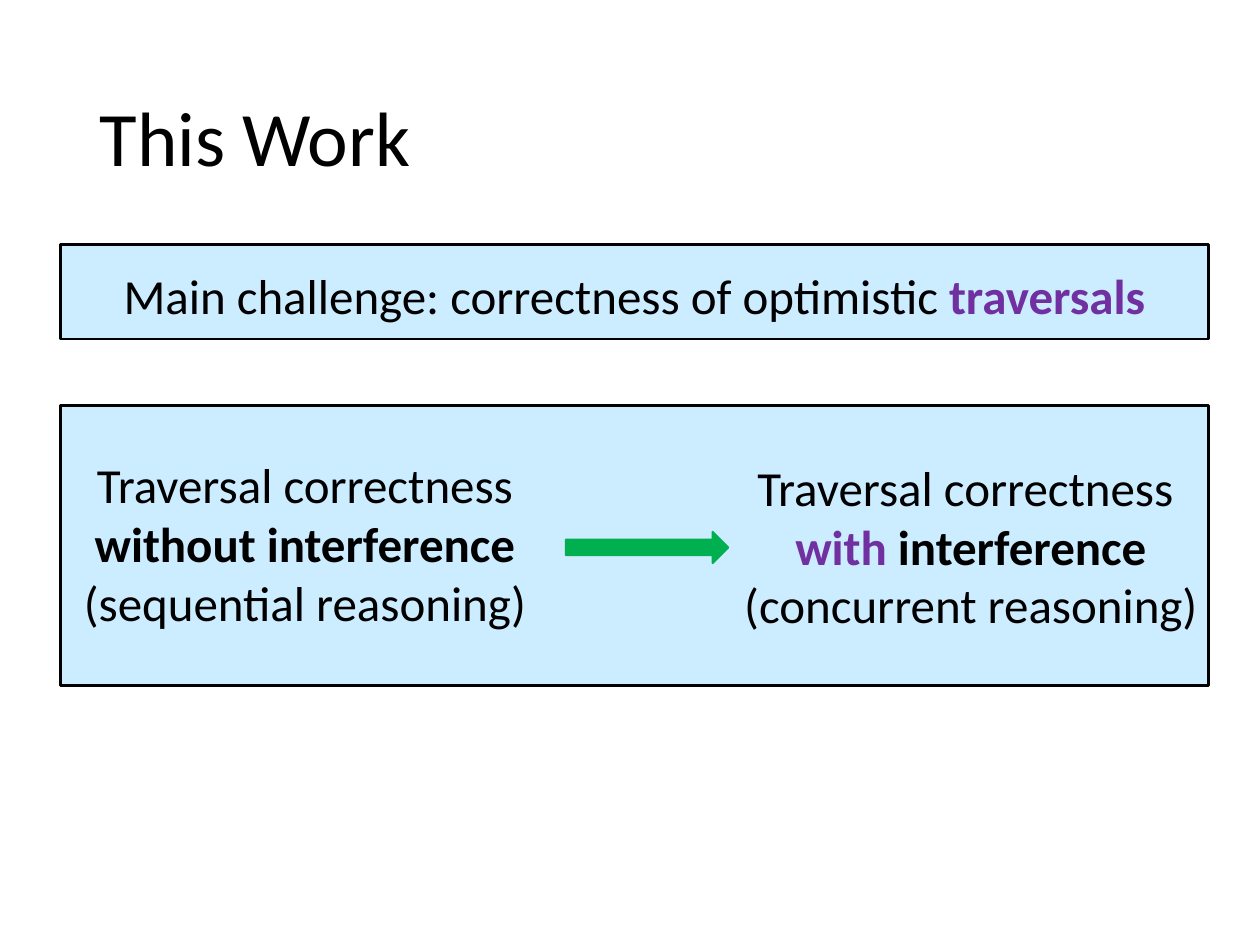
from pptx import Presentation
from pptx.dml.color import RGBColor
from pptx.enum.shapes import MSO_SHAPE
from pptx.enum.text import MSO_ANCHOR, MSO_AUTO_SIZE, PP_ALIGN
from pptx.util import Inches, Pt

BLACK = RGBColor(0x00, 0x00, 0x00)
PURPLE = RGBColor(0x70, 0x30, 0xA0)
GREEN = RGBColor(0x00, 0xB0, 0x50)
PALE_BLUE = RGBColor(0xCC, 0xEC, 0xFF)
FONT = "Calibri"

TITLE = "This Work"
PANELS = [(0.48, 1.94, 9.11, 0.75), (0.48, 3.22, 9.11, 2.22)]
ARROW = (4.49, 4.22, 1.29, 0.25)
TEXTS = [
    ((0.48, 2.06, 9.11, 0.57), [
        [("Main challenge: correctness of optimistic ", BLACK, False),
         ("traversals", PURPLE, True)],
    ]),
    ((0.5, 3.56, 3.84, 1.51), [
        [("Traversal correctness", BLACK, False)],
        [("without interference", BLACK, True)],
        [("(sequential reasoning)", BLACK, False)],
    ]),
    ((5.71, 3.58, 3.99, 1.51), [
        [("Traversal correctness ", BLACK, False)],
        [("with", PURPLE, True), (" interference", BLACK, True)],
        [("(concurrent reasoning)", BLACK, False)],
    ]),
]


def style_run(r, size, color, bold=False):
    r.font.name = FONT
    r.font.size = Pt(size)
    r.font.color.rgb = color
    r.font.bold = bold


def add_filled(s, kind, box, fill, line, width):
    sp = s.shapes.add_shape(kind, *map(Inches, box))
    sp.shadow.inherit = False
    sp.fill.solid()
    sp.fill.fore_color.rgb = fill
    sp.line.color.rgb = line
    sp.line.width = Pt(width)


def add_text(s, box, lines):
    tf = s.shapes.add_textbox(*map(Inches, box)).text_frame
    tf.word_wrap = True
    tf.auto_size = MSO_AUTO_SIZE.SHAPE_TO_FIT_TEXT
    for i, line in enumerate(lines):
        p = tf.add_paragraph() if i else tf.paragraphs[0]
        p.alignment = PP_ALIGN.CENTER
        for text, color, bold in line:
            r = p.add_run()
            r.text = text
            style_run(r, 28, color, bold)


def main():
    prs = Presentation()
    prs.slide_width, prs.slide_height = Inches(10), Inches(7.5)
    s = prs.slides.add_slide(prs.slide_layouts[5])

    title = s.shapes.title
    title.left, title.top = Inches(0.69), Inches(0.4)
    title.width, title.height = Inches(8.62), Inches(1.45)
    tf = title.text_frame
    tf.text = TITLE
    tf.vertical_anchor = MSO_ANCHOR.MIDDLE
    p = tf.paragraphs[0]
    p.alignment = PP_ALIGN.LEFT
    p.line_spacing = 0.9
    style_run(p.runs[0], 44, BLACK)

    for box in PANELS:
        add_filled(s, MSO_SHAPE.RECTANGLE, box, PALE_BLUE, BLACK, 1.5)
    add_filled(s, MSO_SHAPE.RIGHT_ARROW, ARROW, GREEN, GREEN, 1)
    for box, lines in TEXTS:
        add_text(s, box, lines)

    prs.save("out.pptx")


if __name__ == "__main__":
    main()
